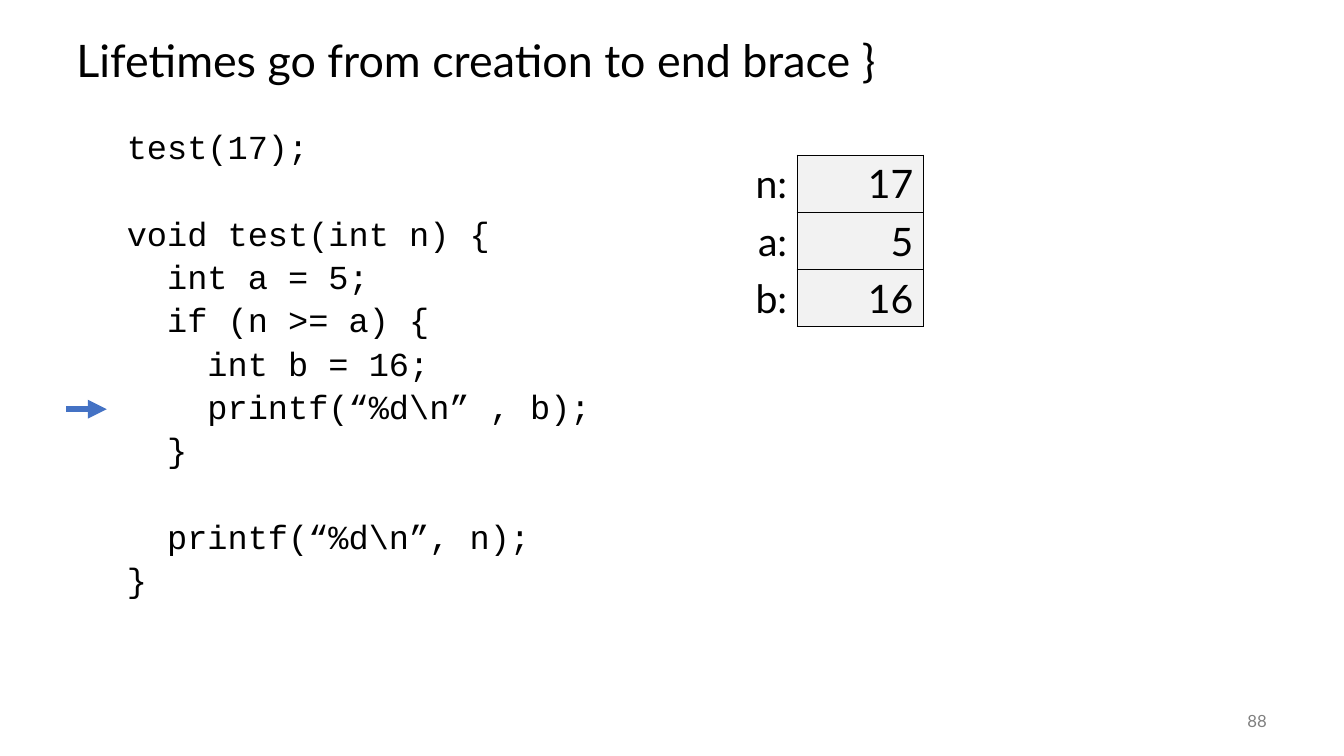
from lxml import etree
from pptx import Presentation
from pptx.dml.color import RGBColor
from pptx.enum import shapes, text
from pptx.oxml import ns
from pptx.util import Pt

COLORS = {"ink": "000000", "muted": "808080", "cell": "F2F2F2", "arrow": "4472C4"}
BODY_FONT, CODE_FONT = "Lato", "Courier New"
LINE_GAP, BLANK_LINE = 5, 30.9

CODE = """test(17);

void test(int n) {
  int a = 5;
  if (n >= a) {
    int b = 16;
    printf(“%d\\n” , b);
  }

  printf(“%d\\n”, n);
}"""
VARIABLES = [("n:", "17"), ("a:", "5"), ("b:", "16")]


def color(name):
    return RGBColor.from_string(COLORS[name])


def write(paragraph, words, size=24, font=BODY_FONT, ink="ink",
          align=text.PP_ALIGN.LEFT, before=0, spacing=1.0):
    paragraph.alignment = align
    paragraph.space_before = Pt(before)
    paragraph.line_spacing = spacing
    run = paragraph.add_run()
    run.text = words
    run.font.size = Pt(size)
    run.font.name = font
    run.font.color.rgb = color(ink)


def add_frame(slide, left, top, width, height, anchor=text.MSO_ANCHOR.MIDDLE):
    frame = slide.shapes.add_textbox(Pt(left), Pt(top), Pt(width), Pt(height)).text_frame
    frame.word_wrap = True
    frame.vertical_anchor = anchor
    return frame


def add_code(slide, code, left, top, width, height):
    frame = add_frame(slide, left, top, width, height, text.MSO_ANCHOR.TOP)
    paragraph, before = frame.paragraphs[0], 0
    for number, line in enumerate(code.split("\n")):
        if not line:  # an empty code line becomes extra space
            before += BLANK_LINE
            continue
        if number:
            paragraph = frame.add_paragraph()
        write(paragraph, line, font=CODE_FONT, before=before, spacing=0.9)
        before = LINE_GAP


def add_borders(cell, sides):
    properties = cell._tc.get_or_add_tcPr()
    for position, side in enumerate(("L", "R", "T", "B")):
        line = etree.Element(ns.qn(f"a:ln{side}"), w=str(Pt(1)))
        if side in sides:
            fill = etree.SubElement(line, ns.qn("a:solidFill"))
            etree.SubElement(fill, ns.qn("a:srgbClr"), val=COLORS["ink"])
        else:
            etree.SubElement(line, ns.qn("a:noFill"))
        properties.insert(position, line)


def add_variables(slide, variables, left, top, column_width, row_height):
    table = slide.shapes.add_table(len(variables), 2, Pt(left), Pt(top), Pt(2 * column_width),
                                   Pt(row_height * len(variables))).table
    table.first_row = table.horz_banding = False
    for column in table.columns:
        column.width = Pt(column_width)
    for row, (name, value) in enumerate(variables):
        table.rows[row].height = Pt(row_height)
        label, box = table.cell(row, 0), table.cell(row, 1)
        label.fill.background()
        box.fill.solid()
        box.fill.fore_color.rgb = color("cell")
        add_borders(label, "R")
        add_borders(box, "LRTB")
        for cell, words in ((label, name), (box, value)):
            write(cell.text_frame.paragraphs[0], words, size=28, align=text.PP_ALIGN.RIGHT)


def add_arrow(slide, left, right, y):
    arrow = slide.shapes.add_connector(shapes.MSO_CONNECTOR.STRAIGHT,
                                       Pt(left), Pt(y), Pt(right), Pt(y))
    arrow.line.color.rgb = color("arrow")
    arrow.line.width = Pt(4.5)
    etree.SubElement(arrow.line._get_or_add_ln(), ns.qn("a:tailEnd"), type="triangle")
    etree.SubElement(arrow._element.spPr, ns.qn("a:effectLst"))


def main():
    presentation = Presentation()
    presentation.slide_width, presentation.slide_height = Pt(960), Pt(540)
    slide = presentation.slides.add_slide(presentation.slide_layouts[6])

    # Title
    title = add_frame(slide, 47.5, 18, 864, 54)
    write(title.paragraphs[0], "Lifetimes go from creation to end brace }", size=32, spacing=0.9)

    # Code with the current line marked
    add_code(slide, CODE, 83.5, 90, 828, 396)
    add_arrow(slide, 47.5, 76.3, 292.3)

    # Values of the live variables
    add_variables(slide, VARIABLES, 479.5, 110.9, 90, 40.8)

    # Slide number
    number = add_frame(slide, 840, 500.4, 72, 28.8)
    write(number.paragraphs[0], "88", size=12, ink="muted", align=text.PP_ALIGN.RIGHT)

    presentation.save("out.pptx")


if __name__ == "__main__":
    main()
